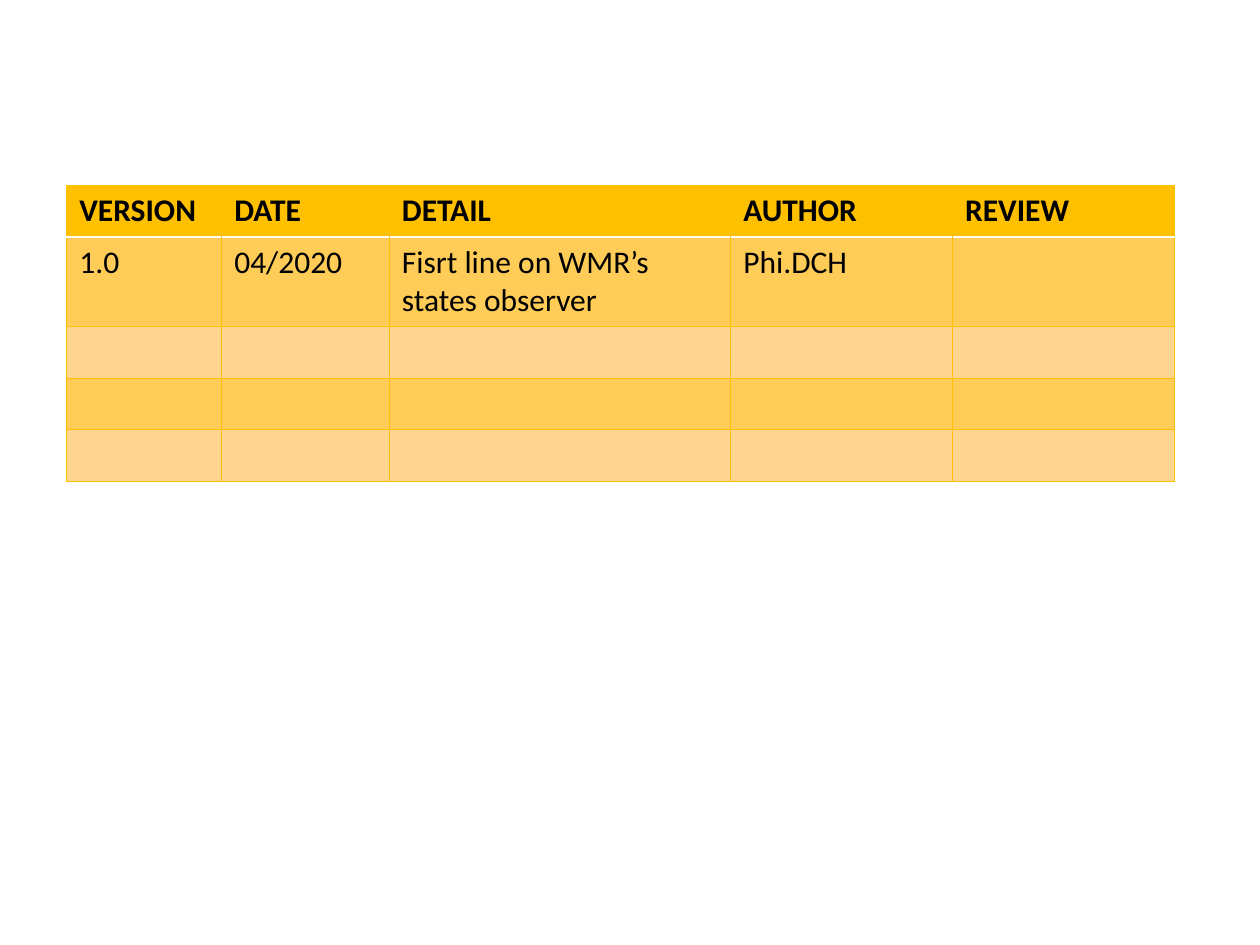
import dataclasses

import lxml.etree
import pptx
import pptx.dml.color
import pptx.oxml.ns
import pptx.util

GOLD = "FFC000"
WHITE = "FFFFFF"
BANDS = ("FFCC57", "FFD58F")
ROW_HEIGHT = 0.41
COL_WIDTHS = (1.23, 1.33, 2.71, 1.76, 1.76)


@dataclasses.dataclass
class Row:
    texts: tuple[str, ...]
    fill: str
    bold: bool = False


def color(value: str) -> pptx.dml.color.RGBColor:
    return pptx.dml.color.RGBColor.from_string(value)


def set_border(cell, side: str, value: str | None, width: float) -> None:
    qn = pptx.oxml.ns.qn
    ln = lxml.etree.SubElement(cell._tc.get_or_add_tcPr(), qn(f"a:ln{side}"))
    ln.set("w", str(pptx.util.Pt(width)))
    if value is None:
        lxml.etree.SubElement(ln, qn("a:noFill"))
        return
    fill = lxml.etree.SubElement(ln, qn("a:solidFill"))
    lxml.etree.SubElement(fill, qn("a:srgbClr")).set("val", value)


def draw_cell(cell, row: Row, text: str, borders: dict) -> None:
    for side, (value, width) in borders.items():
        set_border(cell, side, value, width)
    cell.fill.solid()
    cell.fill.fore_color.rgb = color(row.fill)
    p = cell.text_frame.paragraphs[0]
    fonts = [p.font]
    if text:
        r = p.add_run()
        r.text = text
        fonts.append(r.font)
    for font in fonts:
        for name, value in {"name": "Calibri", "size": pptx.util.Pt(18), "bold": row.bold}.items():
            setattr(font, name, value)
        font.color.rgb = color("000000")


def draw_table(s, rows: list[Row], left: float, top: float) -> None:
    inches = pptx.util.Inches
    last = len(COL_WIDTHS) - 1
    table = s.shapes.add_table(
        len(rows), len(COL_WIDTHS), inches(left), inches(top),
        inches(sum(COL_WIDTHS)), inches(ROW_HEIGHT * len(rows)),
    ).table
    for col, width in zip(table.columns, COL_WIDTHS):
        col.width = inches(width)
    for i, row in enumerate(rows):
        table.rows[i].height = inches(ROW_HEIGHT)
        for j, text in enumerate(row.texts):
            line = (GOLD, 0.5)
            inner = (None, 0.5) if i == 0 else line
            borders = {
                "L": line if j == 0 else inner,
                "R": line if j == last else inner,
                "T": (WHITE, 1) if i == 1 else line,
                "B": (WHITE, 1) if i == 0 else line,
            }
            draw_cell(table.cell(i, j), row, text, borders)


def main() -> None:
    prs = pptx.Presentation()
    prs.slide_width = pptx.util.Inches(10)
    prs.slide_height = pptx.util.Inches(7.5)
    s = prs.slides.add_slide(prs.slide_layouts[6])
    entries = [("1.0", "04/2020", "Fisrt line on WMR’s states observer", "Phi.DCH", "")]
    entries += [("",) * len(COL_WIDTHS)] * 3
    rows = [Row(("VERSION", "DATE", "DETAIL", "AUTHOR", "REVIEW"), GOLD, True)]
    rows += [Row(texts, BANDS[i % 2]) for i, texts in enumerate(entries)]
    draw_table(s, rows, 0.53, 1.47)
    prs.save("out.pptx")


main()
